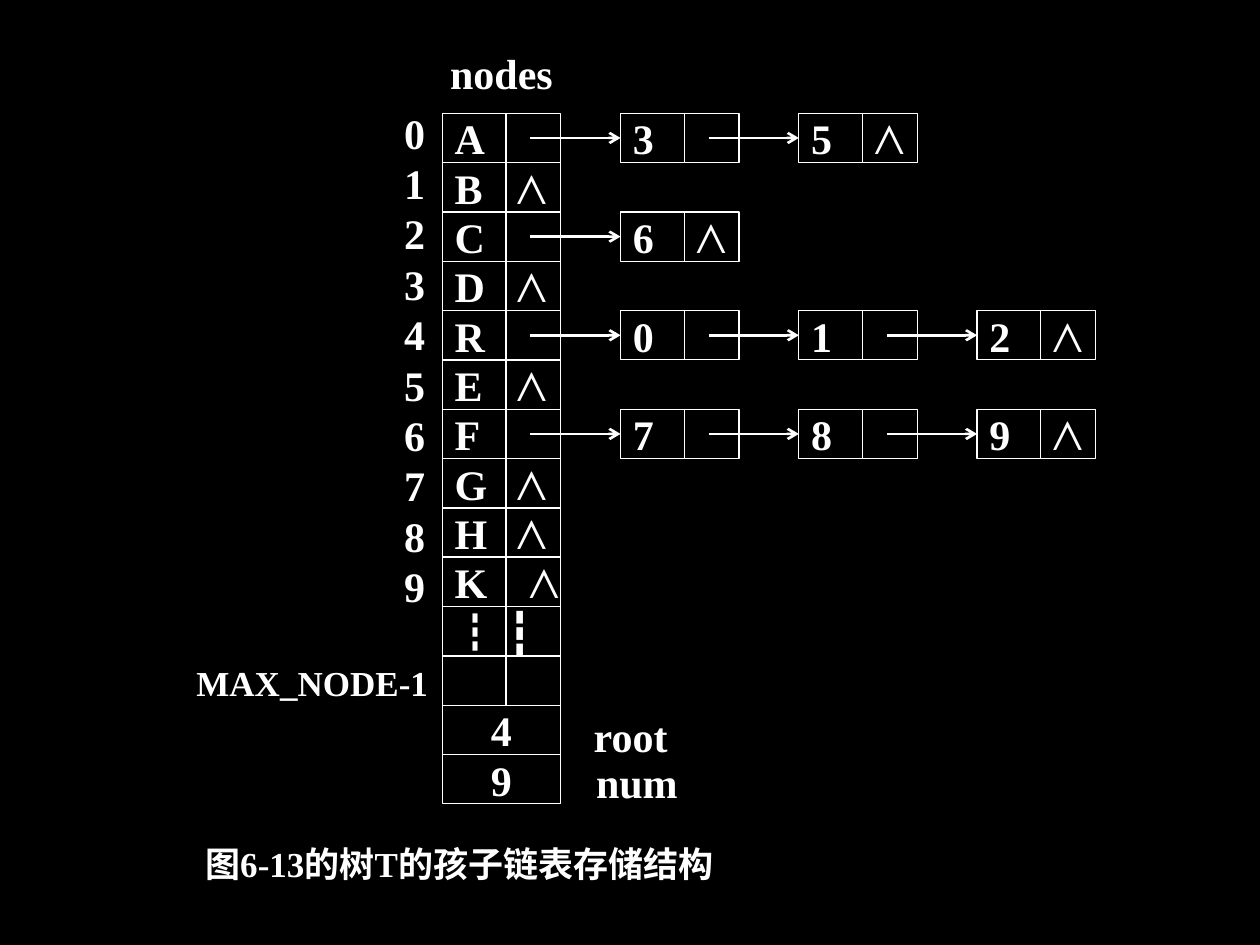
from lxml import etree
from pptx import Presentation
from pptx.dml.color import RGBColor
from pptx.enum.shapes import MSO_CONNECTOR, MSO_SHAPE
from pptx.enum.text import MSO_ANCHOR, PP_ALIGN
from pptx.oxml.ns import qn
from pptx.util import Inches, Pt

WHITE = RGBColor(0xFF, 0xFF, 0xFF)
BLACK = RGBColor(0, 0, 0)
RECT, LINE = MSO_SHAPE.RECTANGLE, MSO_CONNECTOR.STRAIGHT
LEFT, CENTER = PP_ALIGN.LEFT, PP_ALIGN.CENTER
MIDDLE = MSO_ANCHOR.MIDDLE
SERIF, HAN = "Times New Roman", "Noto Sans CJK SC"
NULL = "\t⋀"

# Grid of linked cells, in inches
X0, Y0 = 3.51, 0.9
COL, ROW = 1.415, 0.3915
W, H, SPLIT = 0.94, 0.39, 0.505


def write(shape, lines, size=24, align=LEFT, tab=None, pitch=None, han=SERIF):
    """Fill a shape; each line is a list of (text, bold, font) runs."""
    frame = shape.text_frame
    frame.word_wrap = False
    frame.vertical_anchor = MIDDLE
    # Leave the full width to the text, so that no label breaks
    frame.margin_left = Inches(0.1 if align == LEFT else 0)
    frame.margin_right = 0
    for i, runs in enumerate(lines):
        para = frame.add_paragraph() if i else frame.paragraphs[0]
        para.alignment = align
        if pitch:
            para.line_spacing = Pt(pitch)
        if tab:
            stops = etree.SubElement(para._p.get_or_add_pPr(), qn("a:tabLst"))
            etree.SubElement(stops, qn("a:tab"), pos=str(Inches(tab)), algn="l")
        for text, bold, face in runs:
            run = para.add_run()
            run.text = text
            font = run.font
            font.size, font.bold, font.name = Pt(size), bold, face
            font.color.rgb = WHITE
            asian = han if face == SERIF else face
            etree.SubElement(run._r.get_or_add_rPr(), qn("a:ea"), typeface=asian)


class Board:
    def __init__(self, slide):
        self.slide = slide
        fill = slide.background.fill
        fill.solid()
        fill.fore_color.rgb = BLACK

    def place(self, col, row):
        return X0 + col * COL, Y0 + row * ROW

    def label(self, text, x, y, w, h=H, **form):
        box = self.slide.shapes.add_textbox(*map(Inches, (x, y, w, h)))
        write(box, [[(line, True, SERIF)] for line in text.split("\n")], **form)

    def line(self, x1, y1, x2, y2, width=0.75, arrow=False):
        link = self.slide.shapes.add_connector(
            LINE, *map(Inches, (x1, y1, x2, y2)))
        link.line.color.rgb = WHITE
        link.line.width = Pt(width)
        if arrow:
            etree.SubElement(link.line._get_or_add_ln(), qn("a:tailEnd"), type="arrow")
        etree.SubElement(link._element.spPr, qn("a:effectLst"))

    def cell(self, col, row, runs, split=True, **form):
        x, y = self.place(col, row)
        box = self.slide.shapes.add_shape(RECT, *map(Inches, (x, y, W, H)))
        box.shadow.inherit = False
        box.fill.background()
        box.line.color.rgb = WHITE
        box.line.width = Pt(0.75)
        if runs:
            write(box, [runs], **form)
        if split:
            self.line(x + SPLIT, y, x + SPLIT, y + H)

    def node(self, col, row, name, null, tab=0.5):
        runs = [(name, True, SERIF)]
        if null:
            runs.append((NULL, False, SERIF))
        self.cell(col, row, runs, tab=tab if null else None)

    def arrow(self, col, row):
        x, y = self.place(col, row)
        self.line(x + 0.7, y + H / 2, x + COL, y + H / 2, 1.5, True)


def main():
    deck = Presentation()
    deck.slide_width, deck.slide_height = Inches(10), Inches(7.5)
    board = Board(deck.slides.add_slide(deck.slide_layouts[6]))

    # Child lists, keyed by the row of their parent
    chains = {0: "35", 2: "6", 4: "012", 6: "789"}
    for row, kids in chains.items():
        for col, kid in enumerate(kids, 1):
            board.node(col, row, kid, null=col == len(kids))
            board.arrow(col - 1, row)

    # Node array
    for row, name in enumerate("ABCDREFGHK"):
        board.node(0, row, name, row not in chains, 0.59 if name == "K" else 0.49)
    board.cell(0, 10, [("┇", True, HAN), (" ┇", True, SERIF)])
    board.cell(0, 11, None)
    for row, value in ((12, "4"), (13, "9")):
        board.cell(0, row, [(value, True, SERIF)], split=False, align=CENTER)

    # Labels
    board.label("nodes", X0, 0.38, W, align=CENTER)
    board.label("\n".join("0123456789"), 3.11, 1.04, 0.39, 3.62, pitch=28.8)
    board.label("MAX_NODE-1", 1.46, 5.22, 1.99, size=20)
    board.label("root", 4.61, 5.64, 0.79, align=CENTER)
    board.label("num", 4.66, 6.01, 0.79, align=CENTER)
    board.label("图6-13的树T的孩子链表存储结构", 1.53, 6.66, 5.28, size=20, han=HAN)

    deck.save("out.pptx")


if __name__ == "__main__":
    main()
